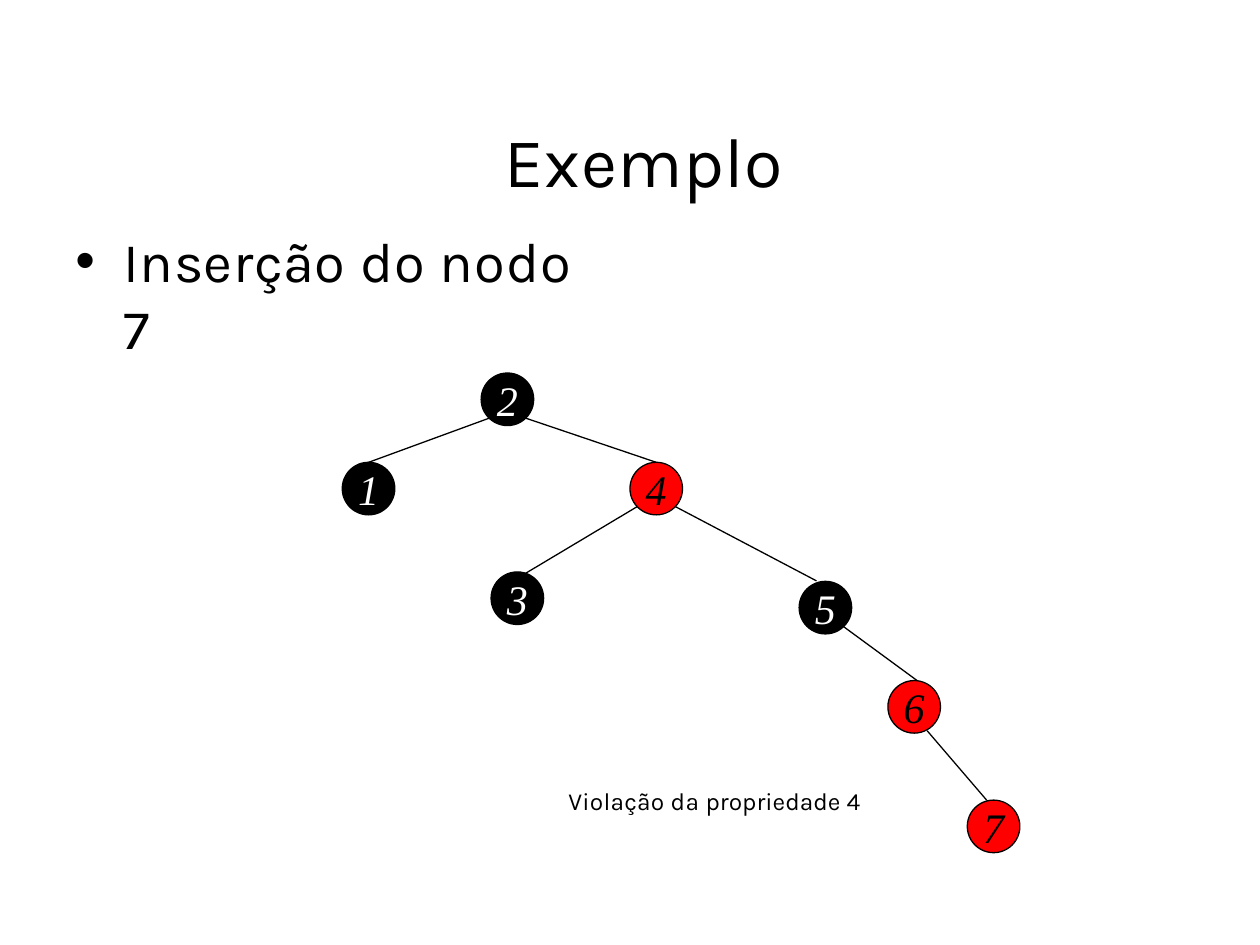
from lxml.etree import SubElement as Sub
from pptx import Presentation
from pptx.dml.color import RGBColor
from pptx.enum.shapes import MSO_CONNECTOR as LINK, MSO_SHAPE as SHAPE
from pptx.enum.text import MSO_ANCHOR as ANCHOR, MSO_AUTO_SIZE as FIT, PP_ALIGN as ALIGN
from pptx.oxml.ns import qn
from pptx.util import Cm, Pt

HEX = {"black": "000000", "red": "FF0000", "white": "FFFFFF"}
SANS = "Karla"
SERIF = "Times New Roman"
SIZE = 1.06  # node diameter, cm
THIN = Pt(0.75)

# key: left, top (cm), fill, text colour
NODES = {
    "2": (9.7, 7.52, "black", "white"),
    "1": (6.9, 9.32, "black", "white"),
    "4": (12.7, 9.32, "red", "black"),
    "3": (9.9, 11.53, "black", "white"),
    "5": (16.11, 11.72, "black", "white"),
    "6": (17.9, 13.72, "red", "black"),
    "7": (19.5, 16.13, "red", "black"),
}
# from x, y to x, y (cm)
EDGES = [
    (10.6, 8.43, 13.23, 9.32),
    (9.86, 8.43, 7.43, 9.32),
    (13.61, 10.21, 16.46, 11.71),
    (12.85, 10.21, 10.34, 11.71),
    (16.99, 12.62, 18.49, 13.72),
    (18.69, 14.73, 19.89, 16.13),
]


def color(name):
    return RGBColor.from_string(HEX[name])


def put(obj, **form):
    for key, val in form.items():
        setattr(obj, key, val)


def place(shape, left, top, width, height):
    put(shape, left=Cm(left), top=Cm(top), width=Cm(width), height=Cm(height))


def frame(shape, **form):
    """Clear the insets of a shape's text frame, then apply the format."""
    text = shape.text_frame
    base = dict.fromkeys(
        ("margin_left", "margin_top", "margin_right", "margin_bottom"), 0)
    put(text, **{**base, "word_wrap": True, "vertical_anchor": ANCHOR.TOP, **form})
    return text


def write(para, parts, tint="black", **form):
    """Add runs given as (text, letter spacing in points)."""
    for text, gap in parts:
        run = para.add_run()
        run.text = text
        put(run.font, **form)
        run.font.color.rgb = color(tint)
        if gap:
            run.font._element.set("spc", str(round(gap * 100)))


def indent(para, left, first=0):
    props = para._p.get_or_add_pPr()
    props.set("marL", str(Cm(left)))
    props.set("indent", str(Cm(first)))
    return props


def add_title(slide):
    shape = slide.shapes.title
    place(shape, 3.4, -0.18, 18.59, 5.13)
    para = frame(shape, margin_top=Cm(2.54), auto_size=FIT.SHAPE_TO_FIT_TEXT).paragraphs[0]
    indent(para, 6.78)
    put(para, alignment=ALIGN.LEFT, space_before=Pt(0))
    write(para, [("Exemplo", 0.3)], name=SANS, size=Pt(40))


def add_list(slide):
    shape = slide.placeholders[1]
    place(shape, 1.5, 4.57, 10.72, 1.35)
    para = frame(shape, auto_size=FIT.SHAPE_TO_FIT_TEXT).paragraphs[0]
    props = indent(para, 0.99, -0.97)
    Sub(props, qn("a:buChar")).set("char", "•")
    put(para, alignment=ALIGN.LEFT, space_before=Pt(0))
    write(para, [("Inserção ", 0.3), ("do nodo ", 0.5), ("7", 1.5)],
          name=SANS, size=Pt(32))


def add_note(slide):
    shape = slide.shapes.add_textbox(Cm(11.43), Cm(15.85), Cm(6.1), Cm(0.64))
    para = frame(shape, auto_size=FIT.SHAPE_TO_FIT_TEXT).paragraphs[0]
    indent(para, 0.03)
    write(para, [("Violação ", 0.1), ("da ", 0.2), ("propriedade ", 0), ("4", 0.7)],
          name=SANS, size=Pt(14))


def add_edge(slide, ends):
    edge = slide.shapes.add_connector(LINK.STRAIGHT, *map(Cm, ends))
    edge.line.color.rgb = color("black")
    edge.line.width = THIN
    Sub(edge._element.spPr, qn("a:effectLst"))


def add_node(slide, key, left, top, fill, tint):
    node = slide.shapes.add_shape(SHAPE.OVAL, Cm(left), Cm(top), Cm(SIZE), Cm(SIZE))
    node.shadow.inherit = False
    node.fill.solid()
    node.fill.fore_color.rgb = color(fill)
    node.line.color.rgb = color("black")
    node.line.width = THIN
    text = frame(node, word_wrap=False, vertical_anchor=ANCHOR.MIDDLE)
    para = text.paragraphs[0]
    para.alignment = ALIGN.CENTER
    write(para, [(key, 0)], tint, name=SERIF, size=Pt(24), italic=True)


def main():
    deck = Presentation()
    put(deck, slide_width=Cm(25.4), slide_height=Cm(19.05))
    slide = deck.slides.add_slide(deck.slide_layouts[1])
    add_title(slide)
    add_list(slide)
    add_note(slide)
    for ends in EDGES:
        add_edge(slide, ends)
    for key, look in NODES.items():
        add_node(slide, key, *look)
    deck.save("out.pptx")


if __name__ == "__main__":
    main()
